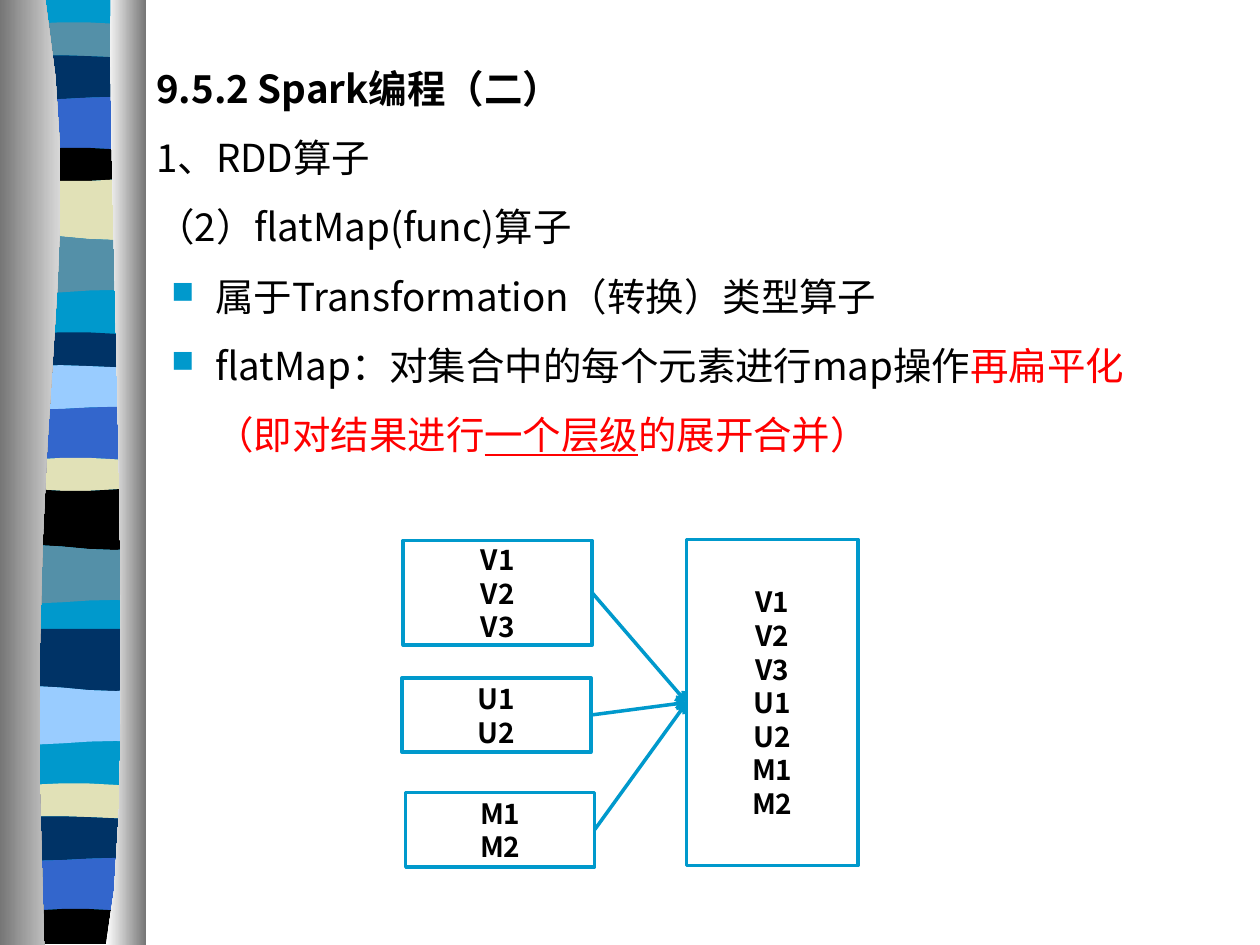
from dataclasses import dataclass

from lxml import etree
from pptx import Presentation
from pptx.dml.color import RGBColor
from pptx.enum.shapes import MSO_CONNECTOR, MSO_SHAPE
from pptx.enum.text import MSO_ANCHOR, MSO_AUTO_SIZE, PP_ALIGN
from pptx.oxml.ns import qn
from pptx.util import Inches, Pt

RECT = MSO_SHAPE.RECTANGLE
STRAIGHT = MSO_CONNECTOR.STRAIGHT
TOP, MIDDLE = MSO_ANCHOR.TOP, MSO_ANCHOR.MIDDLE
CENTER = PP_ALIGN.CENTER
NO_FIT = MSO_AUTO_SIZE.NONE
RIGHT_SITE, LEFT_SITE = 3, 1


@dataclass(frozen=True)
class Theme:
    font: str = "Noto Sans CJK SC"
    mark: str = "Wingdings"
    cyan: str = "0099CC"
    teal: str = "5490A8"
    navy: str = "003366"
    blue: str = "3366CC"
    sky: str = "99CCFF"
    sand: str = "E1E1B7"
    black: str = "000000"
    white: str = "FFFFFF"
    red: str = "FF0000"
    gray: str = "767676"
    silver: str = "D8D8D8"
    body: float = 22
    label: float = 16
    body_step: float = 39.6
    label_step: float = 19.2
    line: float = 2


def rgb(code):
    return RGBColor.from_string(code)


def curve(a, b, c, d, steps):
    """Points along a cubic Bezier curve."""
    points = []
    for i in range(steps + 1):
        t = i / steps
        u = 1 - t
        mix = (u ** 3, 3 * u * u * t, 3 * u * t * t, t ** 3)
        points.append(tuple(sum(m * p[k] for m, p in zip(mix, (a, b, c, d)))
                            for k in (0, 1)))
    return points


def ripple(top, wave):
    """Points of a band edge across the strip."""
    xs = (0.06, 0.42, 0.78, 1.14)
    ends = [(x, top + w) for x, w in zip(xs, wave)]
    return curve(*ends, steps=5 if any(wave) else 1)


class Deck:
    def __init__(self, theme):
        self.theme = theme
        self.prs = Presentation()
        self.prs.slide_width, self.prs.slide_height = Inches(10), Inches(7.5)
        self.slide = self.prs.slides.add_slide(self.prs.slide_layouts[1])
        title = self.slide.shapes.title
        title.element.getparent().remove(title.element)

    def outline(self, points):
        spots = [(Inches(x), Inches(y)) for x, y in points]
        pen = self.slide.shapes.build_freeform(*spots[0])
        pen.add_line_segments(spots[1:], close=True)
        shape = pen.convert_to_shape()
        shape.shadow.inherit = False
        shape.line.fill.background()
        return shape

    def band(self, upper, lower, color):
        shape = self.outline(ripple(*upper) + ripple(*lower)[::-1])
        shape.fill.solid()
        shape.fill.fore_color.rgb = rgb(color)

    def pillar(self, ends, side, start, end):
        """Shade from a curved edge to a straight side."""
        edge = curve(*ends, steps=10)
        shape = self.outline(edge + [(side, 7.5), (side, 0)])
        shape.fill.gradient()
        shape.fill.gradient_angle = 0
        for stop, color in zip(shape.fill.gradient_stops, (start, end)):
            stop.color.rgb = rgb(color)

    def style(self, run, size, color, bold=False):
        font = run.font
        font.size, font.bold = Pt(size), bold
        font.color.rgb = rgb(color)
        font.name = self.theme.font
        latin = run._r.rPr.find(qn("a:latin"))
        latin.addnext(etree.Element(qn("a:ea"), typeface=self.theme.font))

    def bullet(self, para, on):
        props = para._p.get_or_add_pPr()
        props.set("marL", str(Inches(0.47 if on else 0)))
        props.set("indent", str(Inches(-0.35 if on else 0)))
        if not on:
            etree.SubElement(props, qn("a:buNone"))
            return
        tint = etree.SubElement(props, qn("a:buClr"))
        etree.SubElement(tint, qn("a:srgbClr"), val=self.theme.cyan)
        etree.SubElement(props, qn("a:buSzPct"), val="80000")
        etree.SubElement(props, qn("a:buFont"), typeface=self.theme.mark,
                         pitchFamily="2", charset="2")
        etree.SubElement(props, qn("a:buChar"), char="n")

    def body(self, box, lines):
        """Fill the body; a line is (bold, bullet, [(text, color, underline)])."""
        shape = self.slide.placeholders[1]
        shape.left, shape.top, shape.width, shape.height = map(Inches, box)
        frame = shape.text_frame
        frame.word_wrap, frame.auto_size = True, NO_FIT
        frame.vertical_anchor = TOP
        frame.margin_right = Inches(0.3)
        for i, (bold, mark, parts) in enumerate(lines):
            para = frame.add_paragraph() if i else frame.paragraphs[0]
            self.bullet(para, mark)
            para.space_before = Pt(0)
            para.line_spacing = Pt(self.theme.body_step)
            for text, color, under in parts:
                run = para.add_run()
                run.text = text
                self.style(run, self.theme.body, color, bold)
                if under:
                    run.font.underline = True

    def box(self, place, items):
        shape = self.slide.shapes.add_shape(RECT, *map(Inches, place))
        shape.shadow.inherit = False
        shape.fill.solid()
        shape.fill.fore_color.rgb = rgb(self.theme.white)
        shape.line.color.rgb = rgb(self.theme.cyan)
        shape.line.width = Pt(self.theme.line)
        frame = shape.text_frame
        frame.text = "\n".join(items)
        frame.vertical_anchor = MIDDLE
        for para in frame.paragraphs:
            para.alignment = CENTER
            para.line_spacing = Pt(self.theme.label_step)
            self.style(para.runs[0], self.theme.label, self.theme.black, True)
        return shape

    def arrow(self, start, end):
        link = self.slide.shapes.add_connector(STRAIGHT, 0, 0, 0, 0)
        link.begin_connect(start, RIGHT_SITE)
        link.end_connect(end, LEFT_SITE)
        link.line.color.rgb = rgb(self.theme.cyan)
        link.line.width = Pt(self.theme.line)
        etree.SubElement(link.line._get_or_add_ln(), qn("a:tailEnd"), type="arrow")
        etree.SubElement(link._element.spPr, qn("a:effectLst"))


def border(deck):
    """Draw the strip: its edges recur down a cyan base, which shows in gaps."""
    t = deck.theme
    flat = (0, 0, 0, 0)
    edges = [
        (0.21, (0, -0.05, -0.04, 0)),
        (0.46, (0, -0.05, 0, 0)),
        (0.78, (0, 0.04, -0.04, 0)),
        (1.21, (0, -0.05, -0.05, 0)),
        (1.40, (0, 0.05, 0.05, 0)),
        (1.88, (0, -0.06, 0.08, 0)),
        (2.32, (0, 0.04, -0.06, 0)),
    ]
    cycles = [
        (0, edges, (t.teal, t.navy, t.blue, t.black, t.sand, t.teal)),
        (2.46, edges, (t.navy, t.sky, t.blue, t.sand, t.black, t.teal)),
        (3.58, [(1.41, flat)] + edges[5:], (t.navy, t.sky)),
        (6.04, edges[:4] + [(1.45, flat)], (t.sand, t.navy, t.blue, t.black)),
    ]
    deck.band((0, flat), (7.47, flat), t.cyan)
    for shift, rows, colors in cycles:
        rows = [(shift + top, wave) for top, wave in rows]
        for upper, lower, color in zip(rows, rows[1:], colors):
            deck.band(upper, lower, color)
    deck.pillar([(0.36, 0), (0.71, 2.16), (0.17, 2.96), (0.35, 7.5)],
                0, t.gray, t.silver)
    deck.pillar([(0.88, 0), (0.84, 1.25), (1.11, 6.46), (0.84, 7.5)],
                1.16, t.white, t.gray)


def main():
    theme = Theme()
    deck = Deck(theme)
    border(deck)
    ink, red = theme.black, theme.red
    deck.body((1.14, 0.28, 8.66, 3.99), [
        (True, False, [("9.5.2 Spark编程（二）", ink, False)]),
        (False, False, [("1、RDD算子", ink, False)]),
        (False, False, [("（2）flatMap(func)算子", ink, False)]),
        (False, True, [("属于Transformation（转换）类型算子", ink, False)]),
        (False, True, [("flatMap：对集合中的每个元素进行map操作", ink, False),
                       ("再扁平化（即对结果进行", red, False),
                       ("一个层级", red, True),
                       ("的展开合并）", red, False)]),
    ])
    groups = [
        ((3.2, 4.29, 1.5, 0.83), ["V1", "V2", "V3"]),
        ((3.19, 5.38, 1.5, 0.59), ["U1", "U2"]),
        ((3.22, 6.29, 1.5, 0.59), ["M1", "M2"]),
    ]
    inputs = [deck.box(place, items) for place, items in groups]
    merged = deck.box((5.45, 4.28, 1.36, 2.59),
                      [item for _, items in groups for item in items])
    for shape in inputs:
        deck.arrow(shape, merged)
    deck.prs.save("out.pptx")


if __name__ == "__main__":
    main()
